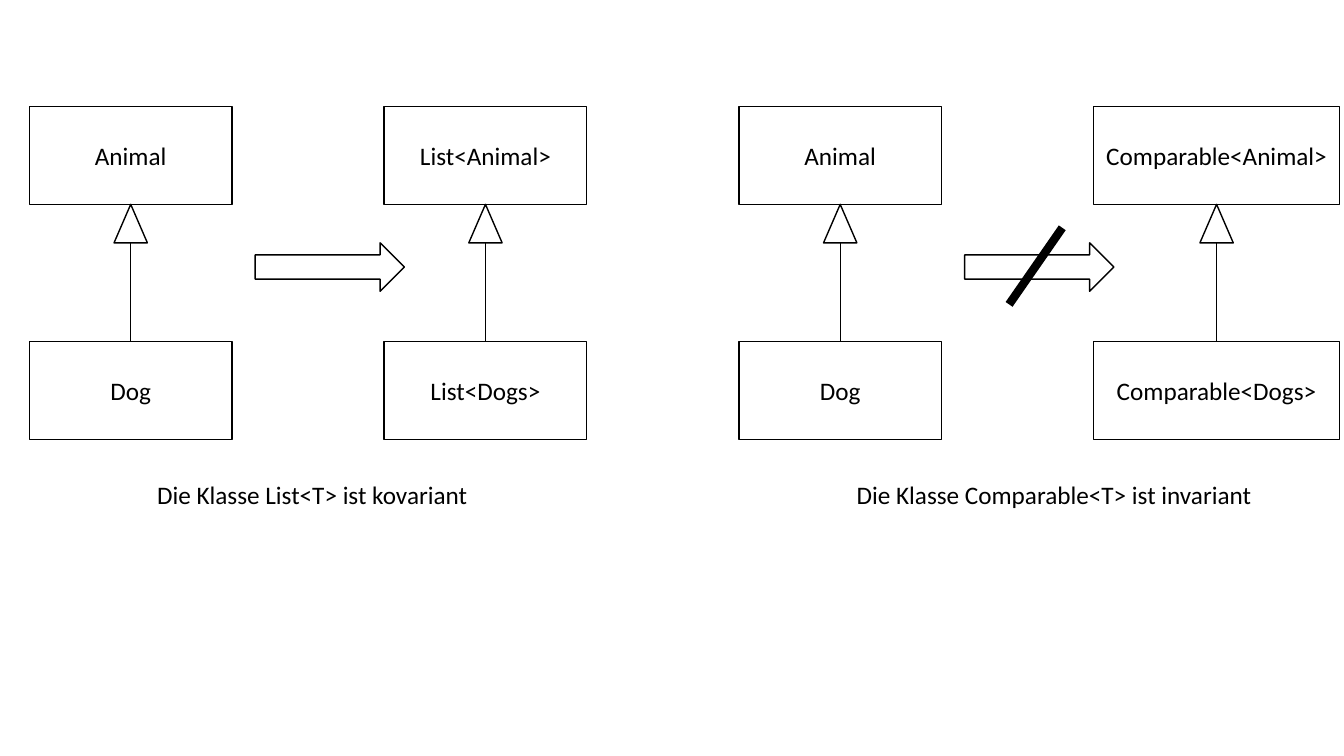
from dataclasses import dataclass

from lxml import etree
from pptx import Presentation
from pptx.dml.color import RGBColor
from pptx.enum.shapes import MSO_CONNECTOR, MSO_SHAPE
from pptx.enum.text import MSO_ANCHOR, PP_ALIGN
from pptx.oxml.ns import qn
from pptx.util import Cm, Pt

RECTANGLE, TRIANGLE = MSO_SHAPE.RECTANGLE, MSO_SHAPE.ISOSCELES_TRIANGLE
RIGHT_ARROW, STRAIGHT = MSO_SHAPE.RIGHT_ARROW, MSO_CONNECTOR.STRAIGHT
CENTER, MIDDLE = PP_ALIGN.CENTER, MSO_ANCHOR.MIDDLE


@dataclass(frozen=True)
class Theme:
    ink: RGBColor = RGBColor(0, 0, 0)
    paper: RGBColor = RGBColor(255, 255, 255)
    font: str = "Calibri"
    text_size: Pt = Pt(18)
    outline: Pt = Pt(1)
    thin: Pt = Pt(0.5)
    slash: Pt = Pt(6)


theme = Theme()


def add_outlined(shapes, kind, left, top, width, height):
    shape = shapes.add_shape(kind, Cm(left), Cm(top), Cm(width), Cm(height))
    shape.shadow.inherit = False
    shape.fill.solid()
    shape.fill.fore_color.rgb = theme.paper
    shape.line.color.rgb = theme.ink
    shape.line.width = theme.outline
    return shape


def add_line(shapes, start_x, start_y, end_x, end_y, width):
    line = shapes.add_connector(STRAIGHT, Cm(start_x), Cm(start_y), Cm(end_x), Cm(end_y))
    line.line.color.rgb = theme.ink
    line.line.width = width
    etree.SubElement(line._element.spPr, qn("a:effectLst"))


deck = Presentation()
deck.slide_width, deck.slide_height = Cm(33.87), Cm(19.05)
page = deck.slides.add_slide(deck.slide_layouts[6])

# Shared geometry in centimetres
class_width, box_height = 5.11, 2.46
parent_top, child_top = 2.69, 8.61
column_step = 9.02 - 0.08
head_width, head_height = 0.84, 0.97
head_top = parent_top + box_height

# Panel left, generic type, generic box width, caption, caption left and width
panels = [
    (0.74, "List", class_width, "Die Klasse List<T> ist kovariant", 3.71, 8.81),
    (18.62, "Comparable", 6.2, "Die Klasse Comparable<T> ist invariant", 21.34, 10.97),
]

for panel_left, generic, generic_width, caption, caption_left, caption_width in panels:
    columns = [
        (panel_left, class_width, "Animal", "Dog"),
        (panel_left + column_step, generic_width, f"{generic}<Animal>", f"{generic}<Dogs>"),
    ]
    for left, width, parent, child in columns:
        # Class boxes
        for top, name in ((parent_top, parent), (child_top, child)):
            box = add_outlined(page.shapes, RECTANGLE, left, top, width, box_height)
            frame = box.text_frame
            frame.margin_left = frame.margin_right = Cm(0.1)
            frame.vertical_anchor = MIDDLE
            para = frame.paragraphs[0]
            para.text = name
            para.alignment = CENTER
            para.font.name = theme.font
            para.font.size = theme.text_size
            para.font.color.rgb = theme.ink

        # Inheritance arrow from child to parent
        middle = left + width / 2
        inheritance = page.shapes.add_group_shape()
        add_outlined(inheritance.shapes, TRIANGLE, middle - head_width / 2, head_top,
                     head_width, head_height)
        add_line(inheritance.shapes, middle, head_top + head_height, middle, child_top,
                 theme.thin)

    # Implication arrow between the columns
    add_outlined(page.shapes, RIGHT_ARROW, panel_left + 5.69, 6.12, 3.76, 1.22)

    # Caption
    box = page.shapes.add_textbox(Cm(caption_left), Cm(11.96), Cm(caption_width), Cm(1.02))
    box.text_frame.word_wrap = True
    para = box.text_frame.paragraphs[0]
    para.text = caption
    para.font.name = theme.font
    para.font.size = theme.text_size
    para.font.color.rgb = theme.ink

# Slash through the invariant implication
add_line(page.shapes, 26.77, 5.74, 25.43, 7.67, theme.slash)

deck.save("out.pptx")
